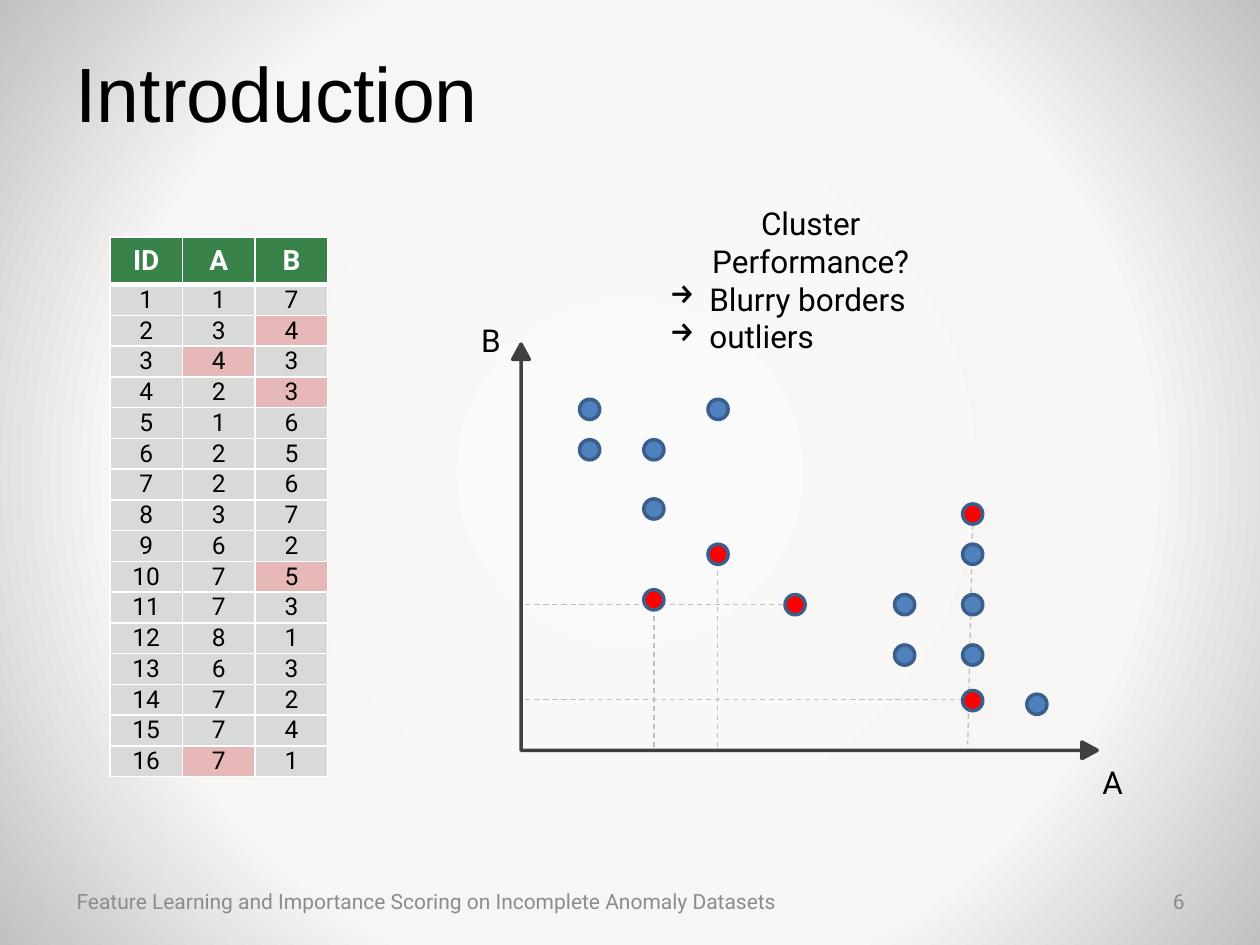
from lxml import etree
from pptx import Presentation
from pptx.dml.color import RGBColor
from pptx.enum.dml import MSO_LINE
from pptx.enum.shapes import MSO_CONNECTOR, MSO_SHAPE
from pptx.enum.text import MSO_ANCHOR as ANCHOR, MSO_AUTO_SIZE as AUTO, PP_ALIGN as ALIGN
from pptx.oxml import parse_xml
from pptx.oxml.ns import nsdecls, qn
from pptx.util import Pt


def rgb(value):
    return RGBColor.from_string(value)


def write(tf, text, size=18, color="000000", font="Roboto", bold=False,
          align=ALIGN.LEFT, bullet=None, new=False):
    p = tf.add_paragraph() if new else tf.paragraphs[0]
    p.alignment = align
    if bullet:
        pPr = p._p.get_or_add_pPr()
        pPr.set("marL", str(Pt(22.5)))
        pPr.set("indent", str(-Pt(22.5)))
        etree.SubElement(pPr, qn("a:buChar")).set("char", bullet)
    r = p.add_run()
    r.text = text
    r.font.name, r.font.size, r.font.bold = font, Pt(size), bold
    r.font.color.rgb = rgb(color)


prs = Presentation()
prs.slide_width, prs.slide_height = Pt(720), Pt(540)
s = prs.slides.add_slide(prs.slide_layouts[5])

# Background: radial gradient
s.background.fill.solid()
solid = s.background._cSld.bg.bgPr.find(qn("a:solidFill"))
stops = "".join(f'<a:gs pos="{pos}000"><a:srgbClr val="{c}"/></a:gs>'
                for pos, c in [(0, "FAFAFA"), (66, "F7F6F4"), (100, "C1C1C1")])
solid.getparent().replace(solid, parse_xml(
    f'<a:gradFill {nsdecls("a")} rotWithShape="1"><a:gsLst>{stops}</a:gsLst>'
    '<a:path path="circle"><a:fillToRect l="50000" t="50000" r="50000" b="50000"/>'
    '</a:path></a:gradFill>'))

# Title
title = s.shapes.title
title.left, title.top, title.width, title.height = Pt(36), Pt(21.6), Pt(648), Pt(61.2)
title.text_frame.vertical_anchor = ANCHOR.MIDDLE
write(title.text_frame, "Introduction", size=44, font="Arial")

# Footer and slide number
for text, left, width, align in [
        ("Feature Learning and Importance Scoring on Incomplete Anomaly Datasets",
         36.7, 521.3, ALIGN.LEFT),
        ("6", 569.5, 114.5, ALIGN.RIGHT)]:
    tf = s.shapes.add_textbox(Pt(left), Pt(500.5), Pt(width), Pt(28.8)).text_frame
    tf.word_wrap = True
    tf.vertical_anchor = ANCHOR.MIDDLE
    write(tf, text, size=12, color="8C8C8C", align=align)

# Dashed guide lines
for x1, y1, x2, y2 in [(555.8, 299.5, 553, 425.5), (300.2, 345.6, 448.6, 345.6),
                       (300.2, 399.6, 550.1, 399.6), (373.7, 427, 373.7, 348.5),
                       (410, 427, 410, 322.6)]:
    line = s.shapes.add_connector(MSO_CONNECTOR.STRAIGHT, Pt(x1), Pt(y1), Pt(x2), Pt(y2))
    line.line.color.rgb = rgb("BFBFBF")
    line.line.width = Pt(0.75)
    line.line.dash_style = MSO_LINE.DASH
    etree.SubElement(line._element.spPr, qn("a:effectLst"))

# Axes
axes = s.shapes.add_shape(MSO_SHAPE.LEFT_UP_ARROW, Pt(293), Pt(196.6), Pt(334), Pt(236.9))
axes._element.spPr.xfrm.set("flipH", "1")
for i, value in enumerate([0, 0.02, 0.037]):
    axes.adjustments[i] = value
axes.shadow.inherit = False
axes.fill.solid()
axes.fill.fore_color.rgb = rgb("404040")
axes.line.color.rgb = rgb("404040")
axes.line.width = Pt(2)

for text, left, top in [("A", 622.8, 432.7), ("B", 267.8, 180)]:
    tf = s.shapes.add_textbox(Pt(left), Pt(top), Pt(25.2), Pt(28.8)).text_frame
    tf.word_wrap = False
    tf.auto_size = AUTO.SHAPE_TO_FIT_TEXT
    write(tf, text)

# Data points
BLUE, RED = "4F81BD", "FF0000"
points = {
    BLUE: [(331.2, 228.2), (331.2, 251.3), (367.9, 251.3), (367.9, 285.1),
           (404.6, 228.2), (511.2, 339.8), (511.2, 368.6), (550.1, 311),
           (550.1, 339.8), (550.1, 368.6), (586.8, 396.7)],
    RED: [(367.9, 337), (404.6, 311), (448.6, 339.8), (550.1, 288), (550.1, 394.6)],
}
for color, places in points.items():
    for x, y in places:
        sp = s.shapes.add_shape(MSO_SHAPE.OVAL, Pt(x), Pt(y), Pt(11.5), Pt(11.5))
        sp.shadow.inherit = False
        sp.fill.solid()
        sp.fill.fore_color.rgb = rgb(color)
        sp.line.color.rgb = rgb("3A5F8C")
        sp.line.width = Pt(2)

# Data table
values = [(1, 7), (3, 4), (4, 3), (2, 3), (1, 6), (2, 5), (2, 6), (3, 7),
          (6, 2), (7, 5), (7, 3), (8, 1), (6, 3), (7, 2), (7, 4), (7, 1)]
rows = [("ID", "A", "B")] + [(i, a, b) for i, (a, b) in enumerate(values, 1)]
marked = {(2, 2), (3, 1), (4, 2), (10, 2), (16, 1)}
table = s.shapes.add_table(len(rows), 3, Pt(62.8), Pt(135.4), Pt(124.5), Pt(308.8)).table
table.horz_banding = False
for col in table.columns:
    col.width = Pt(41.5)
for i, row in enumerate(rows):
    head = i == 0
    table.rows[i].height = Pt(27.2 if head else 17.6)
    for j, value in enumerate(row):
        cell = table.cell(i, j)
        cell.vertical_anchor = ANCHOR.MIDDLE
        if not head:
            cell.margin_top = cell.margin_bottom = 0
        cell.fill.solid()
        cell.fill.fore_color.rgb = rgb(
            "398249" if head else "E6B9B8" if (i, j) in marked else "D9D9D9")
        write(cell.text_frame, str(value), size=16 if head else 14, bold=head,
              color="FFFFFF" if head else "000000", align=ALIGN.CENTER)
        for k, side in enumerate("LRTB"):
            thick = (head and side == "B") or (i == 1 and side == "T")
            cell._tc.get_or_add_tcPr().insert(k, parse_xml(
                f'<a:ln{side} {nsdecls("a")} w="{Pt(3 if thick else 1)}"><a:solidFill>'
                f'<a:srgbClr val="FFFFFF"/></a:solidFill></a:ln{side}>'))

# Question about the clusters
tf = s.shapes.add_textbox(Pt(375.8), Pt(113), Pt(175), Pt(72.7)).text_frame
tf.word_wrap = True
tf.auto_size = AUTO.SHAPE_TO_FIT_TEXT
write(tf, "Cluster Performance?", align=ALIGN.CENTER)
for text in ["Blurry borders", "outliers"]:
    write(tf, text, bullet="→", new=True)

prs.save("out.pptx")
